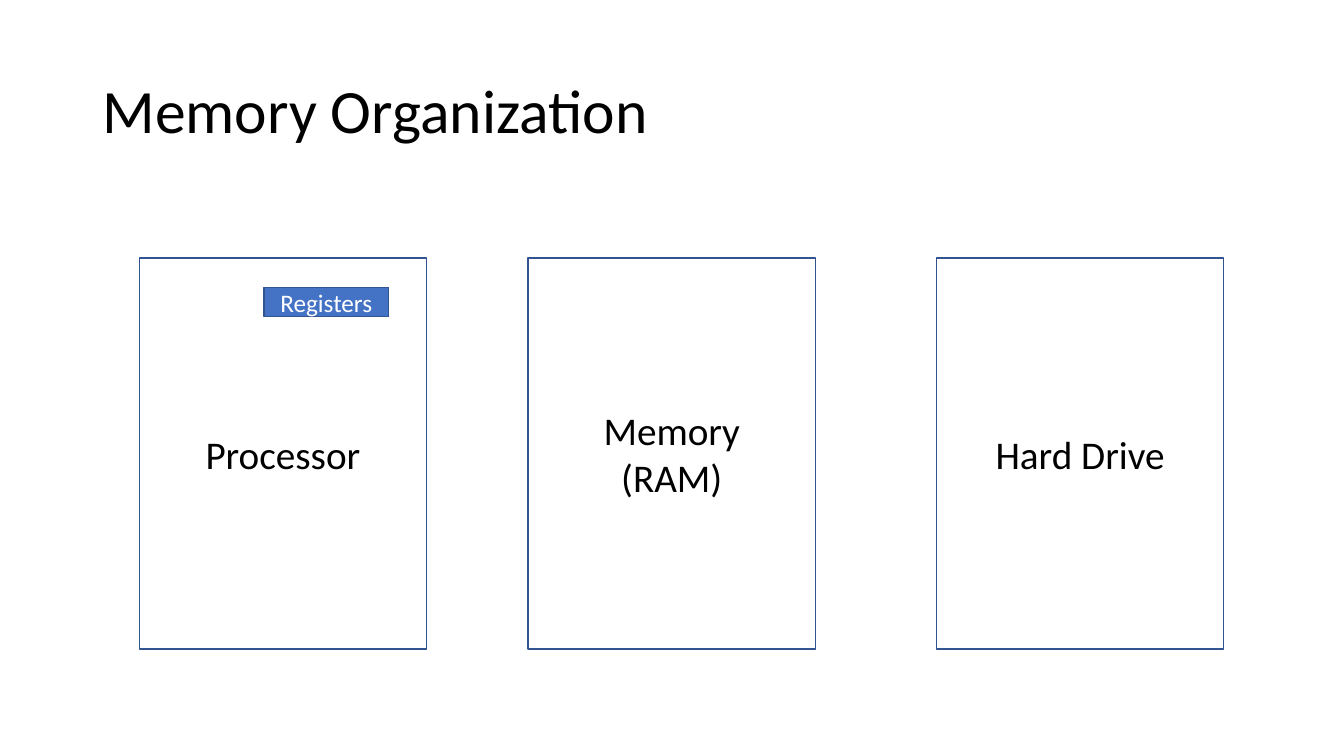
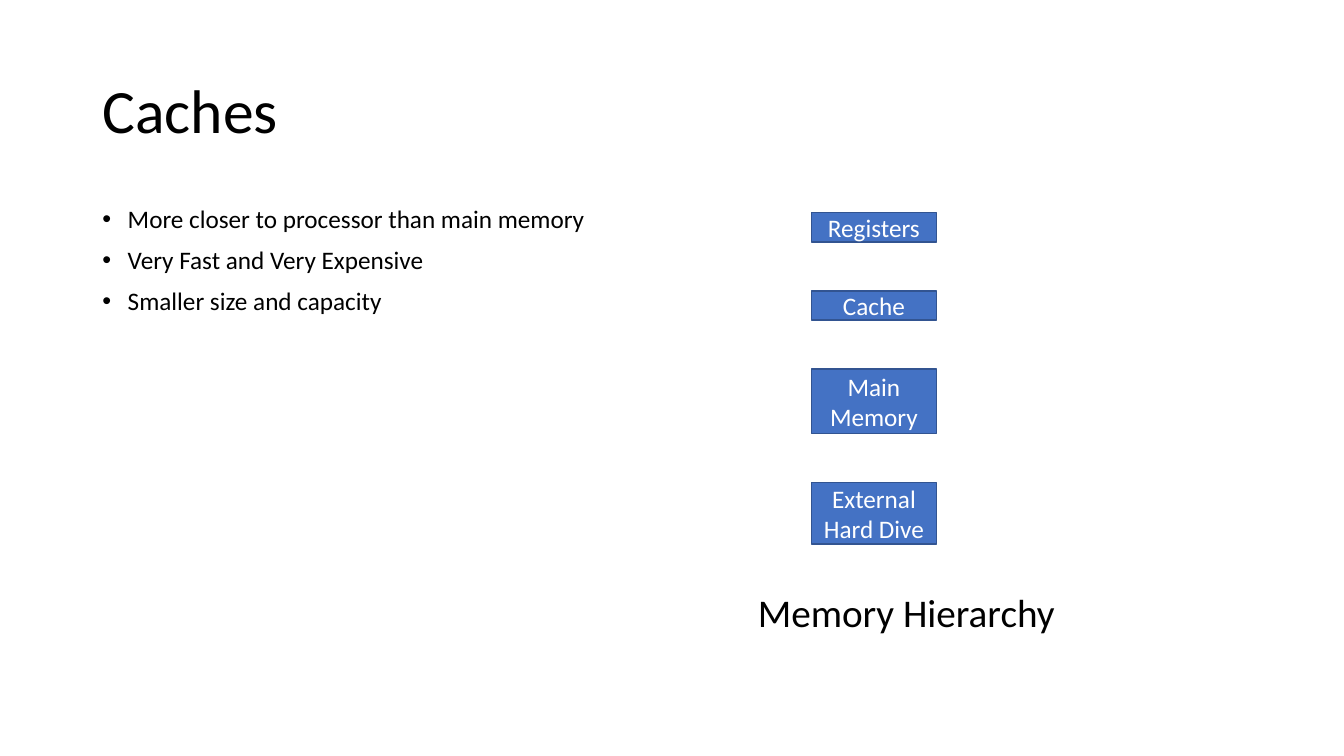
from dataclasses import dataclass
from typing import Any

from lxml.etree import SubElement
from pptx import Presentation
from pptx.dml.color import RGBColor
from pptx.enum.shapes import MSO_SHAPE as Preset
from pptx.enum.text import MSO_ANCHOR as Anchor, MSO_AUTO_SIZE as AutoSize, PP_ALIGN as Align
from pptx.oxml.ns import qn
from pptx.slide import Slide
from pptx.util import Cm, Pt


@dataclass(frozen=True)
class Theme:
    font: str = "Calibri"
    ink: RGBColor = RGBColor(0x00, 0x00, 0x00)
    on_accent: RGBColor = RGBColor(0xFF, 0xFF, 0xFF)
    accent: RGBColor = RGBColor(0x44, 0x72, 0xC4)
    outline: RGBColor = RGBColor(0x32, 0x54, 0x91)
    title_size: int = 44
    label_size: int = 28
    body_size: int = 18
    line_spacing: float = 0.9
    outline_width: float = 1


THEME = Theme()


@dataclass(frozen=True)
class Area:
    """Position and size in centimetres."""
    left: float
    top: float
    width: float
    height: float

    def lengths(self) -> tuple[Cm, Cm, Cm, Cm]:
        return Cm(self.left), Cm(self.top), Cm(self.width), Cm(self.height)


@dataclass(frozen=True)
class Block:
    lines: tuple[str, ...]
    area: Area
    filled: bool = False


@dataclass(frozen=True)
class Level:
    label: str
    height: float


# Shared geometry
SLIDE_WIDTH, SLIDE_HEIGHT = 33.87, 19.05
TITLE = Area(2.33, 1.02, 29.21, 3.68)
BODY = Area(2.33, 5.08, 29.21, 12.09)
CAPTION = Area(18.85, 14.71, 8.61, 1.45)
UNIT_TOP, UNIT_WIDTH, UNIT_HEIGHT = 6.5, 7.24, 9.86
CHIP_WIDTH, CHIP_HEIGHT = 3.15, 0.74
LEVEL_LEFT, LEVEL_TOP, LEVEL_GAP = 20.45, 5.36, 1.23
BULLET_INDENT = 0.64

# Content
UNITS = (
    (3.51, ("Processor",)),
    (13.31, ("Memory", "(RAM)")),
    (23.6, ("Hard Drive",)),
)
LEVELS = (
    Level("Registers", CHIP_HEIGHT),
    Level("Cache", CHIP_HEIGHT),
    Level("Main Memory", 1.63),
    Level("External Hard Dive", 1.55),
)
CACHE_FACTS = (
    "More closer to processor than main memory",
    "Very Fast and Very Expensive",
    "Smaller size and capacity",
)


def apply(target: Any, values: dict[str, Any]) -> None:
    for name, value in values.items():
        setattr(target, name, value)


def style_font(font: Any, size: int, color: RGBColor = THEME.ink) -> None:
    apply(font, {"name": THEME.font, "size": Pt(size)})
    font.color.rgb = color


def add_bullet(paragraph: Any) -> None:
    properties = paragraph._p.get_or_add_pPr()
    indent = Cm(BULLET_INDENT)
    properties.set("marL", str(indent))
    properties.set("indent", str(-indent))
    SubElement(properties, qn("a:buFont"), typeface="Arial")
    SubElement(properties, qn("a:buChar"), char="•")


def add_titled_slide(deck: Any, heading: str) -> Slide:
    slide = deck.slides.add_slide(deck.slide_layouts[5])
    title = slide.shapes.title
    apply(title, dict(zip(("left", "top", "width", "height"), TITLE.lengths())))
    title.text_frame.text = heading
    apply(title.text_frame, {"vertical_anchor": Anchor.MIDDLE, "word_wrap": True})
    paragraph = title.text_frame.paragraphs[0]
    apply(paragraph, {"alignment": Align.LEFT, "line_spacing": THEME.line_spacing})
    style_font(paragraph.font, THEME.title_size)
    return slide


def add_block(slide: Slide, block: Block) -> None:
    shape = slide.shapes.add_shape(Preset.RECTANGLE, *block.area.lengths())
    shape.shadow.inherit = False
    size, color = THEME.label_size, THEME.ink
    if block.filled:
        size, color = THEME.body_size, THEME.on_accent
        shape.fill.solid()
        shape.fill.fore_color.rgb = THEME.accent
    else:
        shape.fill.background()
    shape.line.color.rgb = THEME.outline
    shape.line.width = Pt(THEME.outline_width)
    frame = shape.text_frame
    frame.text = "\n".join(block.lines)
    apply(frame, {"word_wrap": True, "vertical_anchor": Anchor.MIDDLE})
    for paragraph in frame.paragraphs:
        paragraph.alignment = Align.CENTER
        style_font(paragraph.font, size, color)


def add_bullets(slide: Slide, facts: tuple[str, ...]) -> None:
    frame = slide.shapes.add_textbox(*BODY.lengths()).text_frame
    frame.word_wrap = True
    frame.text = "\n".join(facts)
    for index, paragraph in enumerate(frame.paragraphs):
        add_bullet(paragraph)
        apply(paragraph, {
            "line_spacing": THEME.line_spacing,
            "space_before": Pt(10 if index else 0),
        })
        style_font(paragraph.font, THEME.body_size)


def add_caption(slide: Slide, caption: str) -> None:
    frame = slide.shapes.add_textbox(*CAPTION.lengths()).text_frame
    frame.text = caption
    apply(frame, {"word_wrap": True, "auto_size": AutoSize.SHAPE_TO_FIT_TEXT})
    style_font(frame.paragraphs[0].font, THEME.label_size)


def build_organization(deck: Any) -> None:
    slide = add_titled_slide(deck, "Memory Organization")
    for left, lines in UNITS:
        add_block(slide, Block(lines, Area(left, UNIT_TOP, UNIT_WIDTH, UNIT_HEIGHT)))
    # Registers sit inside the processor
    registers = Area(6.65, 7.24, CHIP_WIDTH, CHIP_HEIGHT)
    add_block(slide, Block(("Registers",), registers, filled=True))


def build_caches(deck: Any) -> None:
    slide = add_titled_slide(deck, "Caches")
    add_bullets(slide, CACHE_FACTS)
    # Hierarchy, fastest level on top
    top = LEVEL_TOP
    for level in LEVELS:
        area = Area(LEVEL_LEFT, top, CHIP_WIDTH, level.height)
        add_block(slide, Block((level.label,), area, filled=True))
        top += level.height + LEVEL_GAP
    add_caption(slide, "Memory Hierarchy")


def main() -> None:
    deck = Presentation()
    apply(deck, {"slide_width": Cm(SLIDE_WIDTH), "slide_height": Cm(SLIDE_HEIGHT)})
    build_organization(deck)
    build_caches(deck)
    deck.save("out.pptx")


if __name__ == "__main__":
    main()
